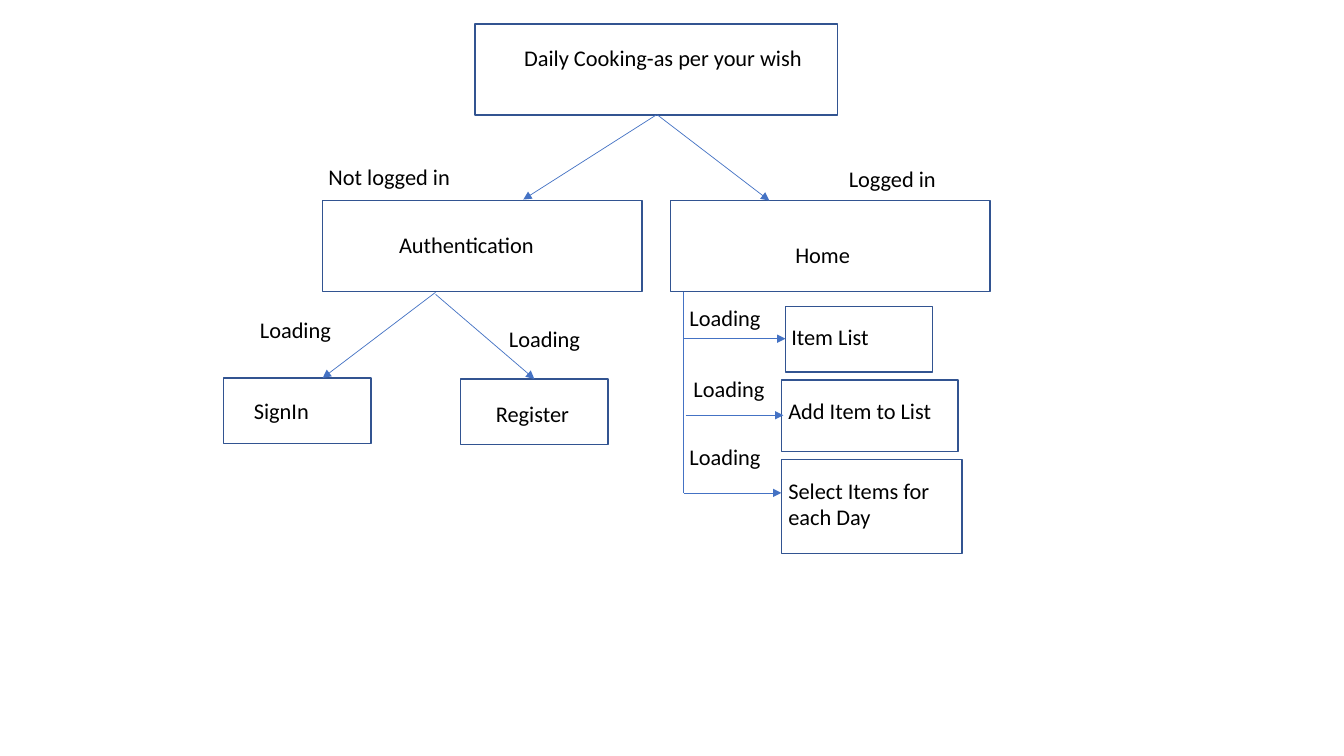
import pptx
import pptx.util
import pptx.dml.color
import pptx.enum.shapes
import pptx.enum.text
import pptx.oxml.ns
import lxml.etree

Inches = pptx.util.Inches
Pt = pptx.util.Pt
COLORS = {"edge": "325491", "arrow": "4472C4", "text": "000000"}


class Chart:
    font = "Calibri"
    size = Pt(16)

    def __init__(self, deck):
        self.slide = deck.slides.add_slide(deck.slide_layouts[6])

    def color(self, name):
        return pptx.dml.color.RGBColor.from_string(COLORS[name])

    def box(self, x, y, w, h):
        kind = pptx.enum.shapes.MSO_SHAPE.RECTANGLE
        box = self.slide.shapes.add_shape(
            kind, Inches(x), Inches(y), Inches(w), Inches(h))
        box.shadow.inherit = False
        box.fill.background()
        box.line.color.rgb = self.color("edge")
        box.line.width = Pt(1)

    def text(self, words, x, y, w, h=0.37):
        label = self.slide.shapes.add_textbox(
            Inches(x), Inches(y), Inches(w), Inches(h))
        frame = label.text_frame
        frame.word_wrap = True
        frame.auto_size = pptx.enum.text.MSO_AUTO_SIZE.SHAPE_TO_FIT_TEXT
        frame.text = words
        font = frame.paragraphs[0].font
        font.name, font.size = self.font, self.size
        font.color.rgb = self.color("text")

    def line(self, x1, y1, x2, y2, head=True):
        kind = pptx.enum.shapes.MSO_CONNECTOR.STRAIGHT
        link = self.slide.shapes.add_connector(
            kind, Inches(x1), Inches(y1), Inches(x2), Inches(y2))
        link.line.color.rgb = self.color("arrow")
        link.line.width = Pt(0.5)
        qn = pptx.oxml.ns.qn
        props = link.line._get_or_add_ln()
        if head:
            lxml.etree.SubElement(props, qn("a:tailEnd"), type="triangle")
        lxml.etree.SubElement(props.getparent(), qn("a:effectLst"))


deck = pptx.Presentation()
deck.slide_width, deck.slide_height = Inches(13.33), Inches(7.5)
chart = Chart(deck)

# Start
chart.box(4.71, 0.24, 3.6, 0.9)
chart.text("Daily Cooking-as per your wish", 5.1, 0.39, 3.28)

# Login branches
for x in (3.2, 6.65):
    chart.box(x, 1.99, 3.17, 0.9)
chart.line(6.51, 1.14, 5.19, 1.98)
chart.line(6.52, 1.14, 7.63, 1.99)
chart.text("Not logged in", 3.16, 1.57, 1.86)
chart.text("Logged in", 8.32, 1.59, 1.86)
chart.text("Authentication", 3.86, 2.24, 1.93)
chart.text("Home", 7.79, 2.34, 0.93)

# Sign-in and register
for x, y in ((2.22, 3.75), (4.57, 3.76)):
    chart.box(x, y, 1.46, 0.65)
chart.line(4.32, 2.9, 3.2, 3.75)
chart.line(4.32, 2.92, 5.3, 3.76)
chart.text("SignIn", 2.42, 3.89, 1.03)
chart.text("Register", 4.82, 3.92, 1.08)

# Home pages: box, then arrow
chart.line(6.78, 2.9, 6.78, 4.89, head=False)
pages = [
    ((7.79, 3.04, 1.46, 0.65), (6.78, 3.36, 7.79, 3.36)),
    ((7.75, 3.77, 1.75, 0.71), (6.8, 4.12, 7.77, 4.12)),
    ((7.75, 4.56, 1.79, 0.93), (6.78, 4.89, 7.75, 4.89)),
]
for box, arrow in pages:
    chart.box(*box)
    chart.line(*arrow)
chart.text("Item List", 7.75, 3.16, 1.86)
chart.text("Add Item to List", 7.72, 3.89, 1.86)
chart.text("Select Items for each Day", 7.72, 4.68, 1.79, 0.91)

# Loading labels
spots = [(2.48, 3.09), (4.95, 3.18), (6.74, 2.97), (6.78, 3.67), (6.74, 4.35)]
for x, y in spots:
    chart.text("Loading", x, y, 1.4)

deck.save("out.pptx")
